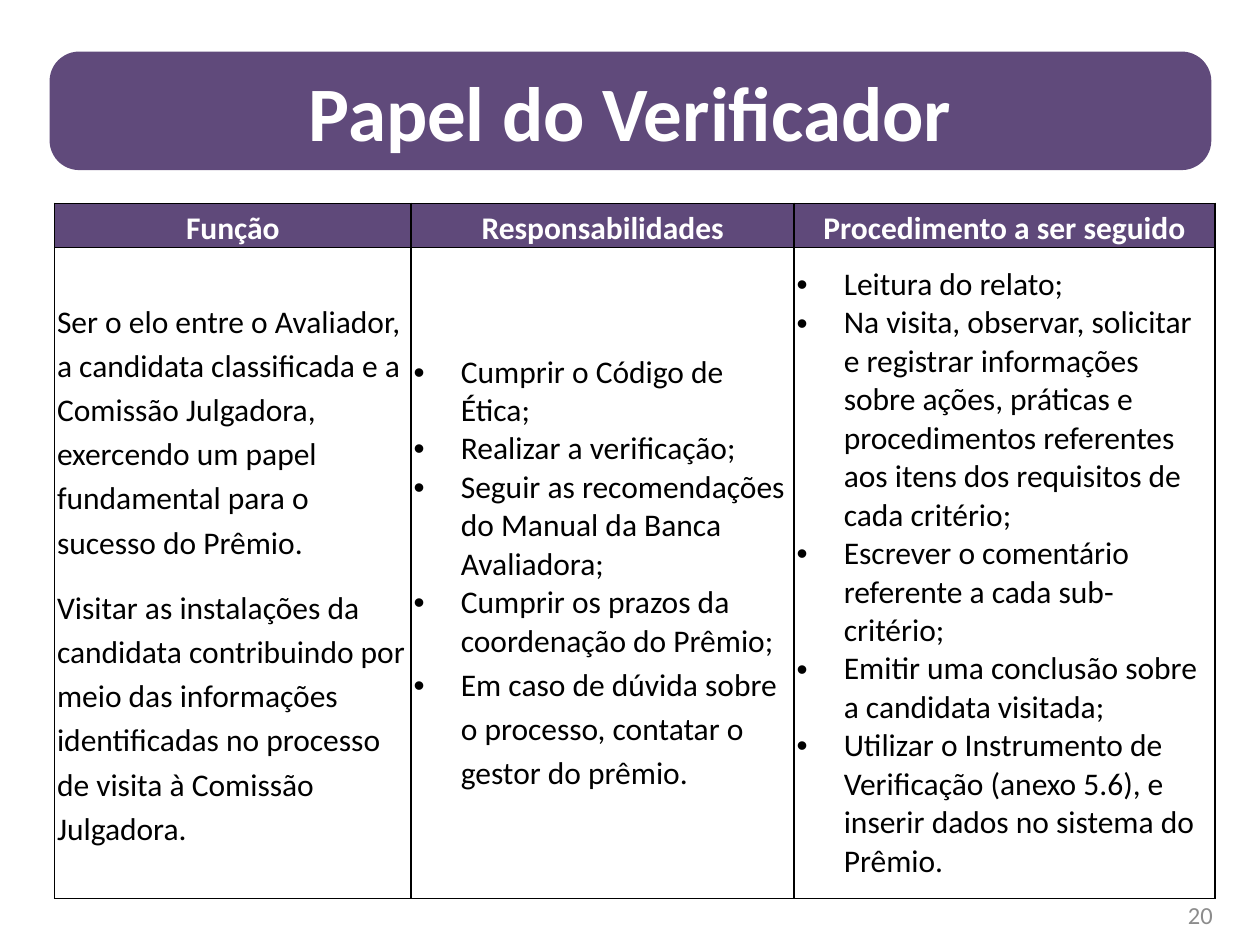
from lxml import etree
from pptx import Presentation
from pptx import util as u
from pptx.dml.color import RGBColor
from pptx.enum import shapes, text
from pptx.oxml import ns

PURPLE = RGBColor(0x60, 0x4A, 0x7B)
HEADER = RGBColor(0x5F, 0x49, 0x7A)
WHITE = RGBColor(0xFF, 0xFF, 0xFF)
BLACK = RGBColor(0, 0, 0)
GRAY = RGBColor(0x8C, 0x8C, 0x8C)
CENTER, LEFT, RIGHT = text.PP_ALIGN.CENTER, text.PP_ALIGN.LEFT, text.PP_ALIGN.RIGHT

HEADINGS = ["Função", "Responsabilidades", "Procedimento a ser seguido"]
ROLE = [
    "Ser o elo entre o Avaliador, a candidata classificada e a Comissão Julgadora, "
    "exercendo um papel fundamental para o sucesso do Prêmio.",
    "Visitar as instalações da candidata contribuindo por meio das informações "
    "identificadas no processo de visita à Comissão Julgadora.",
]
DUTIES = [
    "Cumprir o Código de Ética;",
    "Realizar a verificação;",
    "Seguir as recomendações do Manual da Banca Avaliadora;",
    "Cumprir os prazos da coordenação do Prêmio;",
    "Em caso de dúvida sobre o processo, contatar o gestor do prêmio.",
]
STEPS = [
    "Leitura do relato;",
    "Na visita, observar, solicitar e registrar informações sobre ações, práticas e "
    "procedimentos referentes aos itens dos requisitos de cada critério;",
    "Escrever o comentário referente a cada sub-critério;",
    "Emitir uma conclusão sobre a candidata visitada;",
    "Utilizar o Instrumento de Verificação (anexo 5.6), e inserir dados no sistema do Prêmio.",
]


def add_xml(parent, tag, **attrs):
    return etree.SubElement(parent, ns.qn(tag), attrs)


class SlideBuilder:
    font = "Calibri"
    spacing = 1.15

    def __init__(self, slide):
        self.s = slide

    def add_lines(self, tf, lines, size, color, align=LEFT, bold=False):
        """Fill a text frame with one paragraph per line."""
        for i, line in enumerate(lines):
            p = tf.add_paragraph() if i else tf.paragraphs[0]
            p.alignment = align
            r = p.add_run()
            r.text = line
            r.font.name, r.font.size, r.font.bold = self.font, u.Pt(size), bold
            r.font.color.rgb = color
        return tf.paragraphs

    def banner(self, title, x, y, w, h):
        sp = self.s.shapes.add_shape(shapes.MSO_SHAPE.ROUNDED_RECTANGLE,
                                     u.Cm(x), u.Cm(y), u.Cm(w), u.Cm(h))
        sp.adjustments[0] = 0.25
        sp.shadow.inherit = False
        sp.fill.solid()
        sp.fill.fore_color.rgb = PURPLE
        sp.line.fill.background()
        sp.text_frame.vertical_anchor = text.MSO_ANCHOR.MIDDLE
        self.add_lines(sp.text_frame, [title], 44, WHITE, CENTER, True)

    def label(self, line, x, y, w, h):
        sp = self.s.shapes.add_textbox(u.Cm(x), u.Cm(y), u.Cm(w), u.Cm(h))
        tf = sp.text_frame
        tf.word_wrap = True
        tf.vertical_anchor = text.MSO_ANCHOR.MIDDLE
        self.add_lines(tf, [line], 14, GRAY, RIGHT)

    def table(self, x, y, widths, heights):
        frame = self.s.shapes.add_table(len(heights), len(widths), u.Cm(x), u.Cm(y),
                                        u.Cm(sum(widths)), u.Cm(sum(heights)))
        tbl = frame.table
        tbl.first_row = tbl.horz_banding = False
        for col, w in zip(tbl.columns, widths):
            col.width = u.Cm(w)
        for row, h in zip(tbl.rows, heights):
            row.height = u.Cm(h)
        return tbl

    def cell(self, cell, lines, color=BLACK, fill=None, align=LEFT, bold=False):
        cell.vertical_anchor = text.MSO_ANCHOR.MIDDLE
        cell.margin_left = cell.margin_right = u.Cm(0.05)
        cell.margin_top = cell.margin_bottom = 0
        if fill is None:
            cell.fill.background()
        else:
            cell.fill.solid()
            cell.fill.fore_color.rgb = fill
        self.borders(cell)
        return self.add_lines(cell.text_frame, lines, 18, color, align, bold)

    def borders(self, cell):
        tcPr = cell._tc.get_or_add_tcPr()
        for i, side in enumerate(("a:lnL", "a:lnR", "a:lnT", "a:lnB")):
            ln = add_xml(tcPr, side, w=str(u.Pt(1)))
            add_xml(add_xml(ln, "a:solidFill"), "a:srgbClr", val=str(BLACK))
            tcPr.insert(i, ln)

    def bullet(self, p, tab=True):
        pPr = p._p.get_or_add_pPr()
        indent = u.Cm(0.95)
        pPr.set("marL", str(indent))
        pPr.set("indent", str(-indent))
        add_xml(pPr, "a:buFont", typeface="Arial")
        add_xml(pPr, "a:buChar", char="•")
        if tab:
            add_xml(add_xml(pPr, "a:tabLst"), "a:tab", pos=str(u.Cm(0.42)), algn="l")


def main():
    prs = Presentation()
    prs.slide_width, prs.slide_height = u.Cm(25.4), u.Cm(19.05)
    b = SlideBuilder(prs.slides.add_slide(prs.slide_layouts[6]))

    # Title
    b.banner("Papel do Verificador", 1, 1.04, 23.42, 2.39)

    # Table header
    tbl = b.table(1.1, 4.1, [7.19, 7.72, 8.48], [0.89, 13.12])
    for i, heading in enumerate(HEADINGS):
        for p in b.cell(tbl.cell(0, i), [heading], WHITE, HEADER, CENTER, True):
            p.line_spacing = b.spacing

    # Role
    for i, p in enumerate(b.cell(tbl.cell(1, 0), ROLE)):
        p.line_spacing = b.spacing
        p.space_after = u.Pt(6)
        if i:
            p.space_before = u.Pt(6)

    # Duties: the last one is set wider
    *duties, last = b.cell(tbl.cell(1, 1), DUTIES)
    for p in duties:
        b.bullet(p)
    b.bullet(last, tab=False)
    last.line_spacing = b.spacing

    # Steps
    for p in b.cell(tbl.cell(1, 2), STEPS):
        b.bullet(p)

    # Page number
    b.label("20", 18.77, 17.93, 5.93, 1.02)

    prs.save("out.pptx")


if __name__ == "__main__":
    main()
